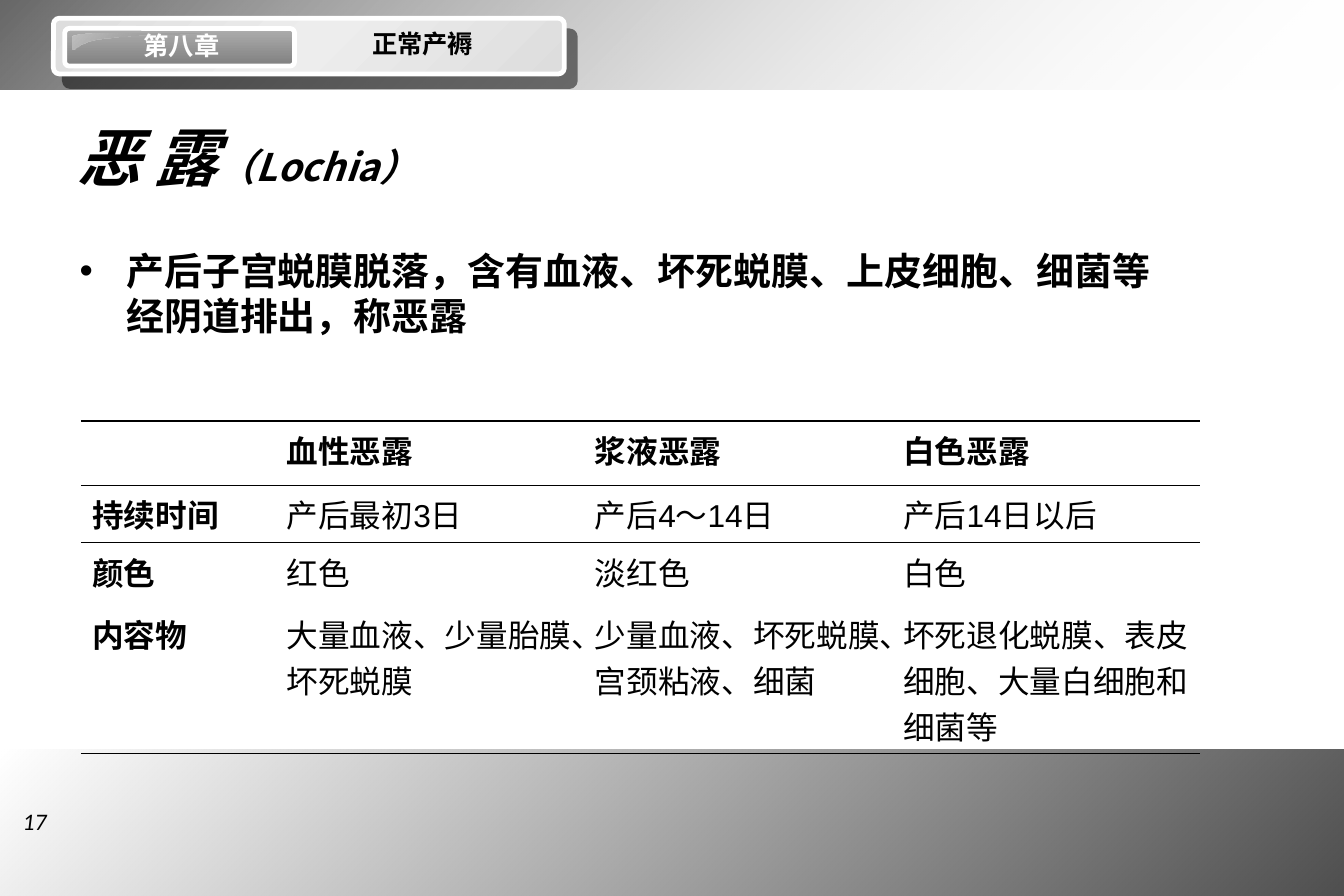
from lxml import etree
from pptx import Presentation
from pptx.dml.color import RGBColor
from pptx.enum.shapes import MSO_SHAPE as Preset
from pptx.enum.text import MSO_ANCHOR as Anchor, PP_ALIGN as Align
from pptx.oxml.ns import qn
from pptx.util import Pt

CJK = "Noto Sans CJK SC"
BLACK, WHITE = "000000", "FFFFFF"
NO_STYLE = "{2D5ABB26-0587-4C30-8999-92F81FD0307C}"
ROWS = [
    ["", "血性恶露", "浆液恶露", "白色恶露"],
    ["持续时间", "产后最初3日", "产后4～14日", "产后14日以后"],
    ["颜色", "红色", "淡红色", "白色"],
    ["内容物", "大量血液、少量胎膜、坏死蜕膜", "少量血液、坏死蜕膜、宫颈粘液、细菌",
     "坏死退化蜕膜、表皮细胞、大量白细胞和细菌等"],
]


def color(value):
    """Turn a hex string into a colour."""
    return RGBColor.from_string(value)


def add(parent, tag, **attributes):
    """Append a drawing element and return it."""
    element = etree.SubElement(parent, qn(f"a:{tag}"))
    for name, value in attributes.items():
        element.set(name, str(value))
    return element


def add_color(parent, value, opacity=100):
    """Append a colour with an opacity in percent."""
    add(add(parent, "srgbClr", val=value), "alpha", val=opacity * 1000)


def fill_gradient(shape, stops, angle):
    """Fill a shape with stops of position, colour and opacity."""
    shape.shadow.inherit = False
    shape.line.fill.background()
    shape.fill.background()
    blank = shape._element.spPr.find(qn("a:noFill"))
    gradient = etree.Element(qn("a:gradFill"), rotWithShape="1")
    stop_list = add(gradient, "gsLst")
    for position, value, opacity in stops:
        add_color(add(stop_list, "gs", pos=position * 1000), value, opacity)
    add(gradient, "lin", ang=angle * 60000, scaled=0)
    blank.getparent().replace(blank, gradient)


def add_panel(page, box, stops, angle, corner=None):
    """Draw a gradient band, or a white-edged rounded panel if a corner is given."""
    preset = Preset.RECTANGLE if corner is None else Preset.ROUNDED_RECTANGLE
    shape = page.shapes.add_shape(preset, *map(Pt, box))
    fill_gradient(shape, stops, angle)
    if corner is not None:
        shape.adjustments[0] = corner
        shape.line.color.rgb = color(WHITE)
        shape.line.width = Pt(3)
    return shape


def style(para, size, name, value=BLACK, bold=False, italic=False):
    """Set the font of a whole paragraph."""
    font = para.font
    font.size, font.name, font.bold, font.italic = Pt(size), name, bold, italic
    font.color.rgb = color(value)
    add(para._p.pPr.find(qn("a:defRPr")), "ea", typeface=CJK)


def add_text(page, box, text="", inset=3.6, anchor=Anchor.TOP):
    """Add a wrapping text box and return its paragraph."""
    frame = page.shapes.add_textbox(*map(Pt, box)).text_frame
    frame.word_wrap = True
    frame.vertical_anchor = anchor
    frame.margin_left = frame.margin_right = Pt(7.9)
    frame.margin_top = frame.margin_bottom = Pt(inset)
    para = frame.paragraphs[0]
    if text:
        para.add_run().text = text
    return para


def curve(start, first, second, end, steps=12):
    """Sample a cubic curve after its start point."""
    for step in range(1, steps + 1):
        t = step / steps
        weights = ((1 - t) ** 3, 3 * t * (1 - t) ** 2, 3 * t * t * (1 - t), t ** 3)
        yield tuple(sum(w * point[axis] for w, point in zip(weights, (start, first, second, end)))
                    for axis in (0, 1))


def add_gleam(page, box):
    """Draw the soft highlight in the corner of the chapter badge."""
    left, top, width, height = box
    start, corner, middle, tip = (0.2, 0), (0, 1), (0.28, 0.29), (1, 0)
    points = [*curve(start, (0.09, 0), (0, 0.09), (0, 0.21)), corner,
              *curve(corner, (0.04, 1), (0.02, 0.5), middle),
              *curve(middle, (0.53, 0.07), (1.01, 0.07), tip)]
    outline = [(Pt(left + x * width), Pt(top + y * height)) for x, y in [start, *points]]
    builder = page.shapes.build_freeform(*outline[0], scale=1.0)
    builder.add_line_segments(outline[1:], close=True)
    fill_gradient(builder.convert_to_shape(), [(0, "808080", 0), (100, "C0C0C0", 100)], 225)


def add_header(page, box):
    """Draw the chapter panel with its badge and two labels."""
    left, top, width, height = box
    panel = add_panel(page, box, [(0, "DDDDDD", 100), (50, "EDEDED", 100), (100, "DDDDDD", 100)],
                      225, 0.109)
    effects = panel._element.spPr.find(qn("a:effectLst"))
    shadow = add(effects, "outerShdw", blurRad=0, dist=Pt(10.6), dir=49 * 60000,
                 algn="ctr", rotWithShape=0)
    add_color(shadow, BLACK, 50)
    add_panel(page, (left + 7.2, top + 6.5, 145.4, 23.8),
              [(0, "ADADAD", 100), (100, "808080", 100)], 90, 0.119)
    add_gleam(page, (left + 12.2, top + 10, 83.5, 10))
    labels = [("第八章", 9.4, 3.6, 143.3, WHITE), ("正常产褥", 145.5, 2.2, 176, BLACK)]
    for text, across, down, label_width, value in labels:
        para = add_text(page, (left + across, top + down, label_width, 27.4), text, 4.3)
        para.alignment = Align.CENTER
        style(para, 16, "Arial", value, bold=True)


def add_title(page, box):
    """Write the title with its smaller Latin term."""
    para = add_text(page, box, anchor=Anchor.MIDDLE)
    for text, size in (("恶 露", 40), ("（Lochia）", 24)):
        span = para.add_run()
        span.text = text
        span.font.size = Pt(size)
    style(para, 40, CJK, bold=True, italic=True)


def add_definition(page, box):
    """Write the bulleted definition."""
    para = add_text(page, box, "产后子宫蜕膜脱落，含有血液、坏死蜕膜、上皮细胞、细菌等经阴道排出，称恶露")
    properties = para._p.get_or_add_pPr()
    properties.set("marL", str(Pt(29.5)))
    properties.set("indent", str(Pt(-29.5)))
    add_color(add(properties, "buClr"), BLACK)
    add(properties, "buFont", typeface="Arial")
    add(properties, "buChar", char="•")
    style(para, 24, CJK, bold=True)


def add_border(cell, tag, width):
    """Draw one black edge of a cell."""
    line = add(cell._tc.get_or_add_tcPr(), tag, w=Pt(width))
    add_color(add(line, "solidFill"), BLACK)


def add_lochia_table(page, box):
    """Build the ruled comparison table."""
    table = page.shapes.add_table(len(ROWS), len(ROWS[0]), *map(Pt, box)).table
    table.first_row = table.horz_banding = False
    table._tbl.tblPr.find(qn("a:tableStyleId")).text = NO_STYLE
    for column, width in zip(table.columns, (123.1, 195.1, 195.1, 195.1)):
        column.width = Pt(width)
    edges = {0: [("lnT", 1.08), ("lnB", 0.45)], 1: [("lnT", 0.45)], 3: [("lnB", 1.08)]}
    for r, (height, texts) in enumerate(zip((40.7, 36.2, 39.6, 94), ROWS)):
        table.rows[r].height = Pt(height)
        for c, text in enumerate(texts):
            cell = table.cell(r, c)
            cell.margin_left = cell.margin_right = Pt(7.2)
            cell.margin_top = cell.margin_bottom = Pt(3.6)
            for tag, width in edges.get(r, []):
                add_border(cell, tag, width)
            cell.fill.background()
            cell.text = text
            style(cell.text_frame.paragraphs[0], 20, "Arial", bold=r == 0 or c == 0)


def main():
    """Build and save the slide."""
    deck = Presentation()
    deck.slide_width, deck.slide_height = Pt(850.4), Pt(566.9)
    page = deck.slides.add_slide(deck.slide_layouts[6])
    add_panel(page, (0, 0, 850.4, 56.9), [(0, BLACK, 60), (100, WHITE, 0)], 45)
    add_panel(page, (0, 474.2, 850.4, 93.4), [(0, BLACK, 0), (100, BLACK, 70)], 45)
    add_header(page, (33.8, 11.5, 323.3, 35.3))
    add_title(page, (41, 62.6, 765.4, 72))
    add_definition(page, (42.5, 153, 711.4, 310.3))
    add_lochia_table(page, (51.1, 266.4, 708.4, 210.5))
    style(add_text(page, (6.5, 506.9, 198.7, 39.6), "17"), 15, "Calibri", italic=True)
    deck.save("out.pptx")


if __name__ == "__main__":
    main()
